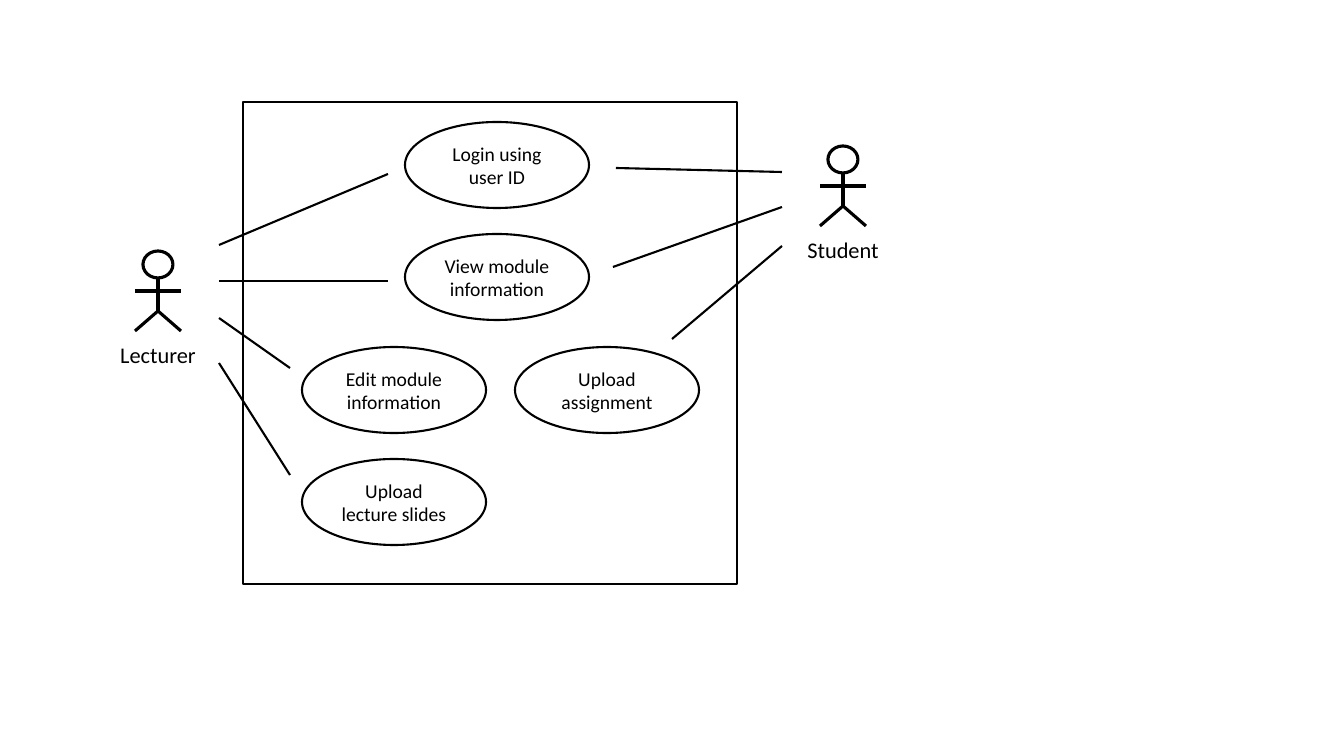
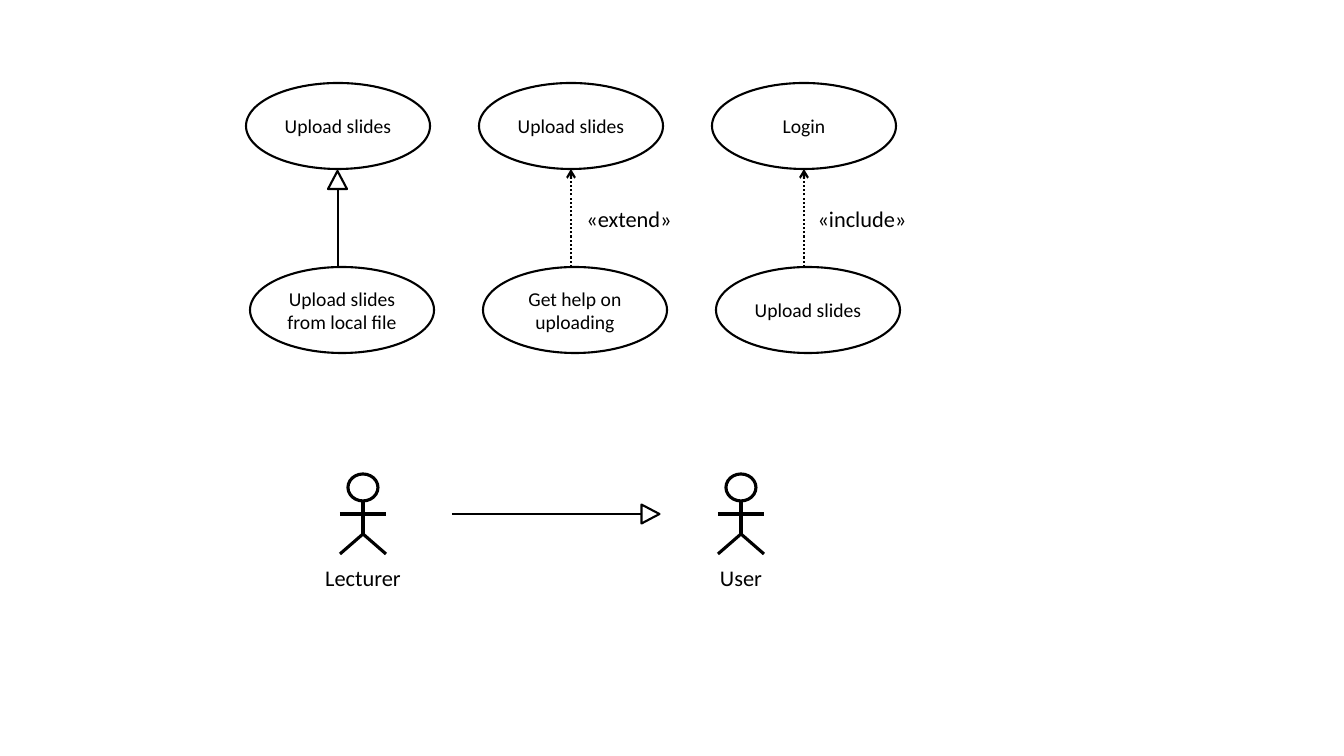
"""Draw a use case diagram and the relationships between use cases."""
from dataclasses import dataclass

from lxml import etree
from pptx import Presentation
from pptx import util as u
from pptx.dml.color import RGBColor
from pptx.enum import dml, shapes, text
from pptx.oxml import ns
from pptx.shapes import autoshape, connector, shapetree
from pptx.slide import Slide
from pptx.text.text import TextFrame

PIXEL = 914400 / 100.8
BLACK = RGBColor(0x00, 0x00, 0x00)
WHITE = RGBColor(0xFF, 0xFF, 0xFF)
FONT = "Calibri"
THIN, THICK = 1.5, 2.25
CASE_WIDTH, CASE_HEIGHT = 184, 86
LABEL_WIDTH, LABEL_HEIGHT = 138, 37
TRIANGLE_WIDTH, TRIANGLE_HEIGHT = 19, 18


@dataclass(frozen=True)
class UseCase:
    name: str
    left: int
    top: int


@dataclass(frozen=True)
class Actor:
    name: str
    center: int
    top: int


@dataclass(frozen=True)
class Line:
    x1: int
    y1: int
    x2: int
    y2: int


@dataclass(frozen=True)
class Relationship:
    source: str
    target: str
    stereotype: str = ""


def px(length: float) -> u.Emu:
    return u.Emu(round(length * PIXEL))


def write(frame: TextFrame, words: str, *, size: int, anchor: text.MSO_ANCHOR) -> None:
    frame.word_wrap = True
    frame.vertical_anchor = anchor
    paragraph = frame.paragraphs[0]
    paragraph.alignment = text.PP_ALIGN.CENTER
    run = paragraph.add_run()
    run.text = words
    run.font.size = u.Pt(size)
    run.font.name = FONT
    run.font.color.rgb = BLACK


def draw_outline(
    tree: shapetree.SlideShapes | shapetree.GroupShapes,
    kind: shapes.MSO_SHAPE,
    left: float,
    top: float,
    width: float,
    height: float,
    *,
    weight: float = THIN,
    fill: RGBColor | None = None,
) -> autoshape.Shape:
    shape = tree.add_shape(kind, px(left), px(top), px(width), px(height))
    shape.shadow.inherit = False
    if fill is None:
        shape.fill.background()
    else:
        shape.fill.solid()
        shape.fill.fore_color.rgb = fill
    shape.line.color.rgb = BLACK
    shape.line.width = u.Pt(weight)
    return shape


def draw_line(
    tree: shapetree.SlideShapes | shapetree.GroupShapes, line: Line, *, weight: float = THIN
) -> connector.Connector:
    stroke = tree.add_connector(
        shapes.MSO_CONNECTOR.STRAIGHT, px(line.x1), px(line.y1), px(line.x2), px(line.y2)
    )
    stroke.line.color.rgb = BLACK
    stroke.line.width = u.Pt(weight)
    etree.SubElement(stroke.element.spPr, ns.qn("a:effectLst"))
    return stroke


def draw_dependency(slide: Slide, line: Line) -> None:
    arrow = draw_line(slide.shapes, line)
    arrow.line.dash_style = dml.MSO_LINE.ROUND_DOT
    outline = arrow.element.spPr.find(ns.qn("a:ln"))
    etree.SubElement(outline, ns.qn("a:tailEnd"), type="arrow")


def draw_triangle(slide: Slide, left: int, top: int, *, rotation: int = 0) -> None:
    triangle = draw_outline(
        slide.shapes, shapes.MSO_SHAPE.ISOSCELES_TRIANGLE, left, top,
        TRIANGLE_WIDTH, TRIANGLE_HEIGHT, fill=WHITE,
    )
    triangle.rotation = rotation


def draw_label(slide: Slide, words: str, center: int, top: int) -> None:
    box = slide.shapes.add_textbox(
        px(center - LABEL_WIDTH / 2), px(top), px(LABEL_WIDTH), px(LABEL_HEIGHT)
    )
    write(box.text_frame, words, size=16, anchor=text.MSO_ANCHOR.TOP)


def draw_use_case(slide: Slide, case: UseCase) -> None:
    ellipse = draw_outline(
        slide.shapes, shapes.MSO_SHAPE.OVAL, case.left, case.top, CASE_WIDTH, CASE_HEIGHT
    )
    write(ellipse.text_frame, case.name, size=14, anchor=text.MSO_ANCHOR.MIDDLE)


def draw_actor(slide: Slide, actor: Actor) -> None:
    figure = slide.shapes.add_group_shape().shapes
    x, neck, arms = actor.center, actor.top + 27, actor.top + 40
    hip, feet = actor.top + 60, actor.top + 80
    left, right = x - 23, x + 23
    draw_outline(figure, shapes.MSO_SHAPE.OVAL, x - 15, actor.top, 30, 27, weight=THICK)
    for limb in (
        Line(x, neck, x, hip),
        Line(left, arms, right, arms),
        Line(x, hip, left, feet),
        Line(x, hip, right, feet),
    ):
        draw_line(figure, limb, weight=THICK)
    draw_label(slide, actor.name, x, actor.top + 85)


def build_system_slide(slide: Slide) -> None:
    draw_outline(slide.shapes, shapes.MSO_SHAPE.RECTANGLE, 243, 102, 494, 482)
    rows = [122 + 225 * row // 2 for row in range(4)]
    for case in (
        UseCase("Login using user ID", 405, rows[0]),
        UseCase("View module information", 405, rows[1]),
        UseCase("Edit module information", 302, rows[2]),
        UseCase("Upload assignment", 515, rows[2]),
        UseCase("Upload lecture slides", 302, rows[3]),
    ):
        draw_use_case(slide, case)
    for actor in (Actor("Lecturer", 158, 251), Actor("Student", 843, 146)):
        draw_actor(slide, actor)
    for association in (
        Line(219, 245, 388, 174),
        Line(219, 281, 388, 281),
        Line(219, 318, 290, 368),
        Line(219, 363, 290, 475),
        Line(782, 172, 616, 168),
        Line(782, 207, 613, 267),
        Line(782, 246, 672, 339),
    ):
        draw_line(slide.shapes, association)


def build_relationship_slide(slide: Slide) -> None:
    target_top, source_top = 83, 267
    target_bottom = target_top + CASE_HEIGHT
    relationships = (
        Relationship("Upload slides from local file", "Upload slides"),
        Relationship("Get help on uploading", "Upload slides", "«extend»"),
        Relationship("Upload slides", "Login", "«include»"),
    )
    for column, relationship in enumerate(relationships):
        left = 246 + 233 * column
        middle = left + CASE_WIDTH // 2
        draw_use_case(slide, UseCase(relationship.target, left, target_top))
        draw_use_case(slide, UseCase(relationship.source, left + 4, source_top))
        if relationship.stereotype:
            draw_dependency(slide, Line(middle, source_top, middle, target_bottom))
            draw_label(slide, relationship.stereotype, middle + 58, 200)
        else:
            draw_line(slide.shapes, Line(middle, source_top, middle, 180))
            draw_triangle(slide, middle - TRIANGLE_WIDTH // 2 - 1, 171)
    for actor in (Actor("Lecturer", 363, 474), Actor("User", 741, 474)):
        draw_actor(slide, actor)
    draw_line(slide.shapes, Line(452, 514, 645, 514))
    draw_triangle(slide, 641, 505, rotation=90)


def main() -> None:
    presentation = Presentation()
    presentation.slide_width, presentation.slide_height = px(1344), px(756)
    blank = presentation.slide_layouts[6]
    for build in (build_system_slide, build_relationship_slide):
        build(presentation.slides.add_slide(blank))
    presentation.save("out.pptx")


main()
